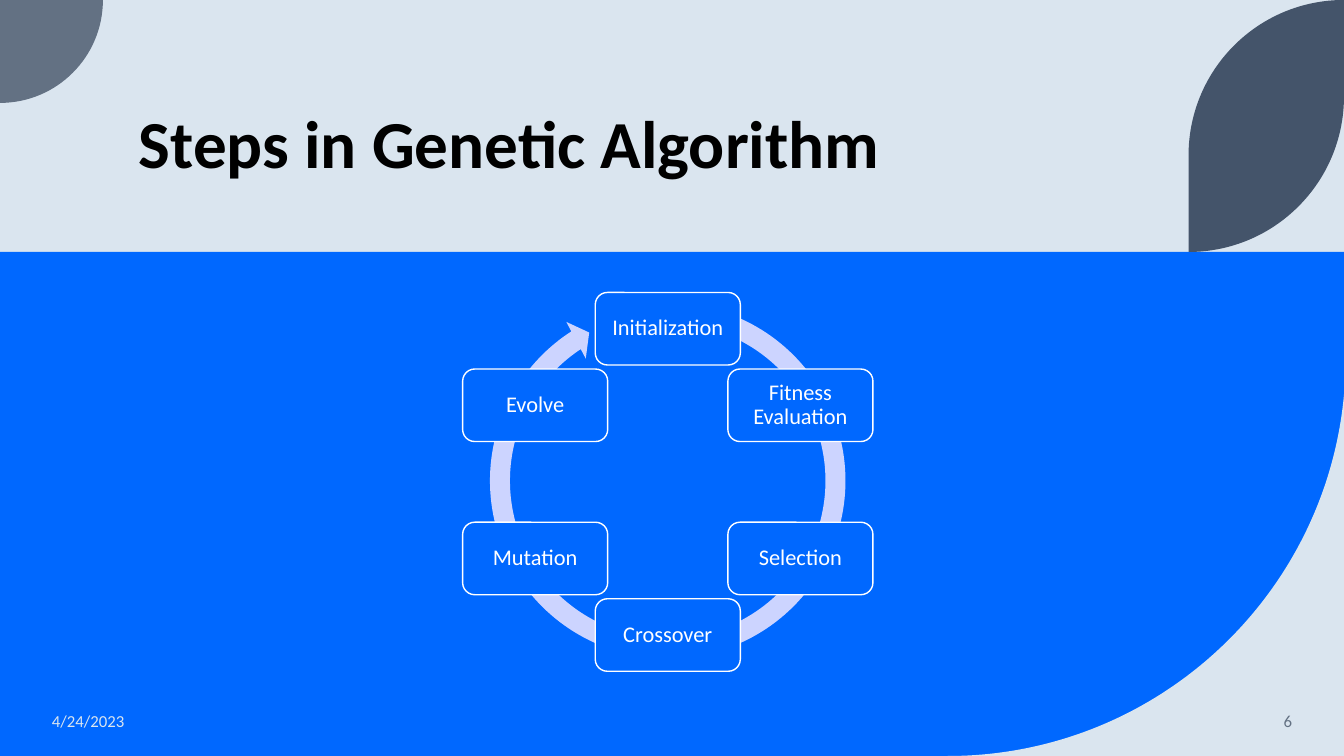
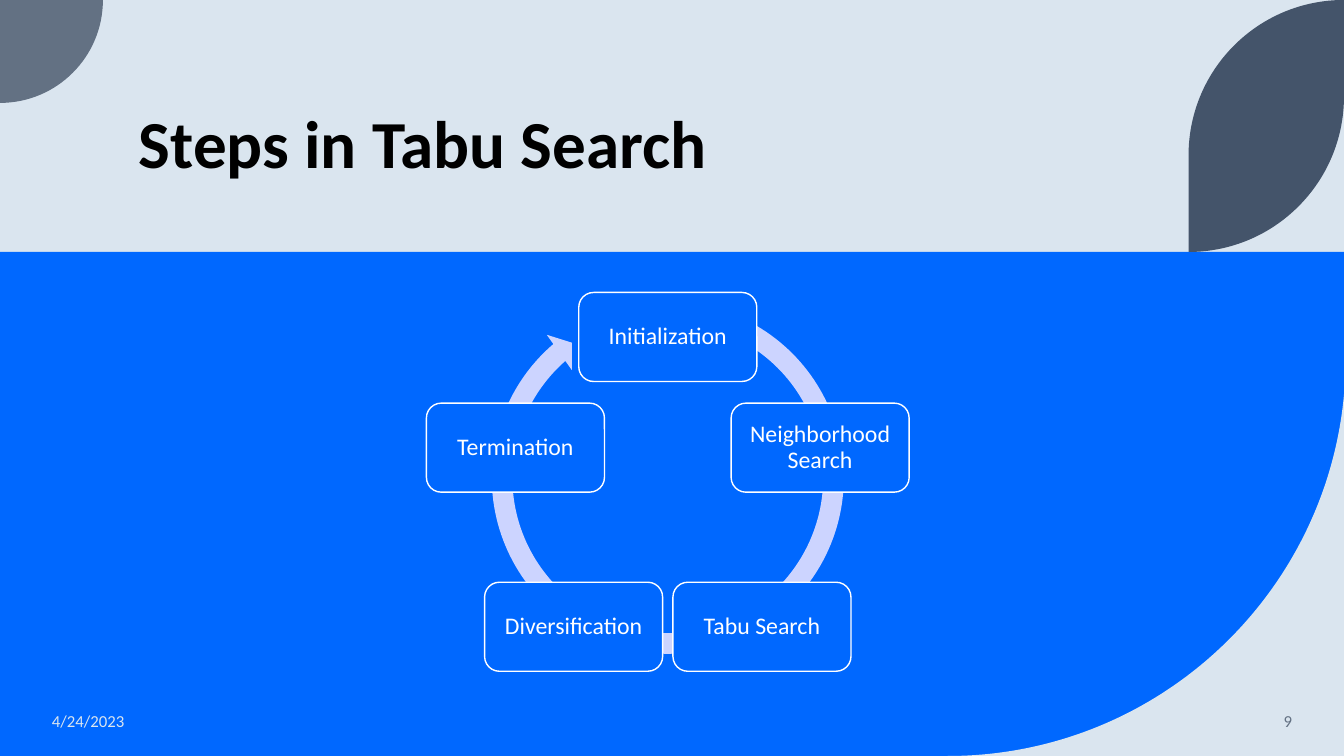
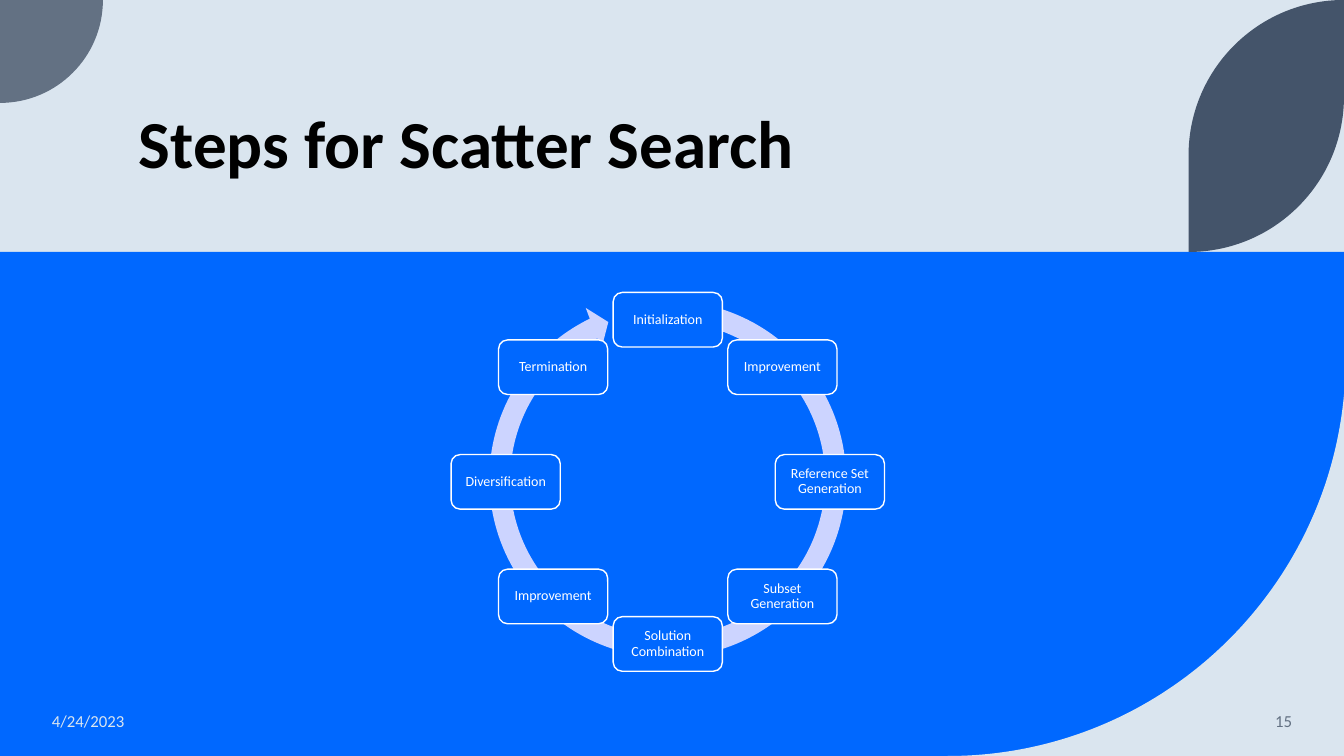
from dataclasses import dataclass
from math import cos, pi, sin

from lxml import etree
from pptx import Presentation
from pptx.dml.color import RGBColor
from pptx.enum import shapes, text
from pptx.oxml import ns
from pptx.util import Pt


@dataclass(frozen=True)
class Theme:
    font: str = "Calibri"
    pale: RGBColor = RGBColor(0xDA, 0xE5, 0xEF)
    blue: RGBColor = RGBColor(0x00, 0x68, 0xFF)
    slate: RGBColor = RGBColor(0x63, 0x71, 0x83)
    navy: RGBColor = RGBColor(0x44, 0x54, 0x6A)
    lilac: RGBColor = RGBColor(0xCC, 0xD4, 0xFF)
    white: RGBColor = RGBColor(0xFF, 0xFF, 0xFF)
    black: RGBColor = RGBColor(0, 0, 0)
    title_size: int = 48
    footer_size: int = 12


@dataclass(frozen=True)
class Cycle:
    title: str
    number: str
    steps: tuple
    box_width: float
    inset: float
    size: int
    arrow_top: float
    arrow_size: float
    arrow_shape: tuple


theme = Theme()
WIDTH, HEIGHT, BAND_TOP, BAND_WIDTH = 960, 540, 180, 961.2
CYCLE_X, CYCLE_TOP, CYCLE_HEIGHT = 477, 208.9, 270.6

cycles = [
    Cycle("Steps in Genetic Algorithm", "6",
          ("Initialization", "Fitness Evaluation", "Selection",
           "Crossover", "Mutation", "Evolve"),
          103.6, 7.6, 16, 208.8, 269.3, (0.053, 3.126, 142.129, 171.359, 0.055)),
    Cycle("Steps in Tabu Search", "9",
          ("Initialization", "Neighborhood Search", "Tabu Search",
           "Diversification", "Termination"),
          127.2, 8, 17, 207.4, 267.8, (0.055, 3.307, 137.478, 174.031, 0.058)),
    Cycle("Steps for Scatter Search", "15",
          ("Initialization", "Improvement", "Reference Set Generation",
           "Subset Generation", "Solution Combination", "Improvement",
           "Diversification", "Termination"),
          78, 4.8, 10, 206.6, 271.4, (0.055, 3.307, 146.267, 168.87, 0.058)),
]


def quarter(x, y, radius, start):
    c, s, pull = cos(start), sin(start), 0.5523
    return [(x + radius * dx, y + radius * dy) for dx, dy in [
        (c - pull * s, s + pull * c), (pull * c - s, pull * s + c), (-s, c)]]


def paint(shape, fill, line=None):
    shape.shadow.inherit = False
    shape.fill.solid()
    shape.fill.fore_color.rgb = fill
    if line is None:
        shape.line.fill.background()
    else:
        shape.line.color.rgb = line
        shape.line.width = Pt(1)


prs = Presentation()
prs.slide_width, prs.slide_height = Pt(WIDTH), Pt(HEIGHT)
master = prs.slide_master
master.background.fill.solid()
master.background.fill.fore_color.rgb = theme.pale

layout = prs.slide_layouts.get_by_name("Title Only")
heading = layout.placeholders[0]
heading.left, heading.top = Pt(92), Pt(30)
heading.width, heading.height = Pt(770), Pt(104.6)

slides = [prs.slides.add_slide(layout) for cycle in cycles]

canvas = slides[0].shapes
band = canvas.add_shape(shapes.MSO_SHAPE.RECTANGLE, 0, Pt(BAND_TOP),
                        Pt(BAND_WIDTH), Pt(HEIGHT - BAND_TOP))
paint(band, theme.blue)
decor = [band]
outlines = [
    (theme.pale, (BAND_WIDTH, 255.6),
     [quarter(676.8, 255.6, 284.4, 0), [(BAND_WIDTH, HEIGHT)]]),
    (theme.slate, (73.5, 0), [quarter(0, 0, 73.5, 0), [(0, 0)]]),
    (theme.navy, (WIDTH, 69),
     [quarter(849, 69, 111, 0), [(849, 111)], quarter(WIDTH, 111, 111, pi)]),
]
for color, (x, y), segments in outlines:
    builder = canvas.build_freeform(Pt(x), Pt(y))
    builder.add_line_segments([(Pt(x), Pt(y)) for part in segments for x, y in part])
    corner = builder.convert_to_shape()
    paint(corner, color)
    edges = iter(list(corner.element.iter(ns.qn("a:lnTo"))))
    for part in segments:
        first, *others = [next(edges) for point in part]
        if others:
            curve = etree.Element(ns.qn("a:cubicBezTo"))
            first.addprevious(curve)
            for edge in (first, *others):
                curve.append(edge[0])
                edge.getparent().remove(edge)
    decor.append(corner)
for order, piece in enumerate(decor):
    piece.element.nvSpPr.cNvPr.set("id", str(20 + order))
    master.shapes.element.insert(2 + order, piece.element)

for slide, cycle in zip(slides, cycles):
    title = slide.shapes.title
    title.text_frame.text = cycle.title
    title.text_frame.auto_size = text.MSO_AUTO_SIZE.NONE
    title.text_frame.vertical_anchor = text.MSO_ANCHOR.BOTTOM
    line = title.text_frame.paragraphs[0]
    line.alignment, line.line_spacing = text.PP_ALIGN.LEFT, 0.9
    line.font.name, line.font.size = theme.font, Pt(theme.title_size)
    line.font.bold, line.font.color.rgb = True, theme.black

    arrow = slide.shapes.add_shape(
        shapes.MSO_SHAPE.CIRCULAR_ARROW,
        Pt(CYCLE_X - cycle.arrow_size / 2), Pt(cycle.arrow_top),
        Pt(cycle.arrow_size), Pt(cycle.arrow_size))
    for i, value in enumerate(cycle.arrow_shape):
        arrow.adjustments[i] = value
    paint(arrow, theme.lilac)

    box_height = cycle.box_width / 2
    angles = [2 * pi * i / len(cycle.steps) for i in range(len(cycle.steps))]
    radius = (CYCLE_HEIGHT - box_height) / (1 - min(map(cos, angles)))
    for step, angle in zip(cycle.steps, angles):
        box = slide.shapes.add_shape(
            shapes.MSO_SHAPE.ROUNDED_RECTANGLE,
            Pt(CYCLE_X + radius * sin(angle) - cycle.box_width / 2),
            Pt(CYCLE_TOP + radius * (1 - cos(angle))),
            Pt(cycle.box_width), Pt(box_height))
        paint(box, theme.blue, theme.white)
        frame = box.text_frame
        frame.text, frame.word_wrap = step, True
        frame.vertical_anchor = text.MSO_ANCHOR.MIDDLE
        frame.margin_left = frame.margin_right = Pt(cycle.inset)
        frame.margin_top = frame.margin_bottom = Pt(cycle.inset)
        line = frame.paragraphs[0]
        line.alignment, line.line_spacing = text.PP_ALIGN.CENTER, 0.9
        line.font.name, line.font.size = theme.font, Pt(cycle.size)
        line.font.color.rgb = theme.white

    for words, left, width, align, color in [
        ("4/24/2023", 30, 216, text.PP_ALIGN.LEFT, theme.pale),
        (cycle.number, 804, 126, text.PP_ALIGN.RIGHT, theme.slate),
    ]:
        footer = slide.shapes.add_textbox(Pt(left), Pt(500.4), Pt(width), Pt(28.8))
        frame = footer.text_frame
        frame.text, frame.word_wrap = words, True
        frame.vertical_anchor = text.MSO_ANCHOR.MIDDLE
        line = frame.paragraphs[0]
        line.alignment = align
        line.font.name, line.font.size = theme.font, Pt(theme.footer_size)
        line.font.color.rgb = color

prs.save("out.pptx")
